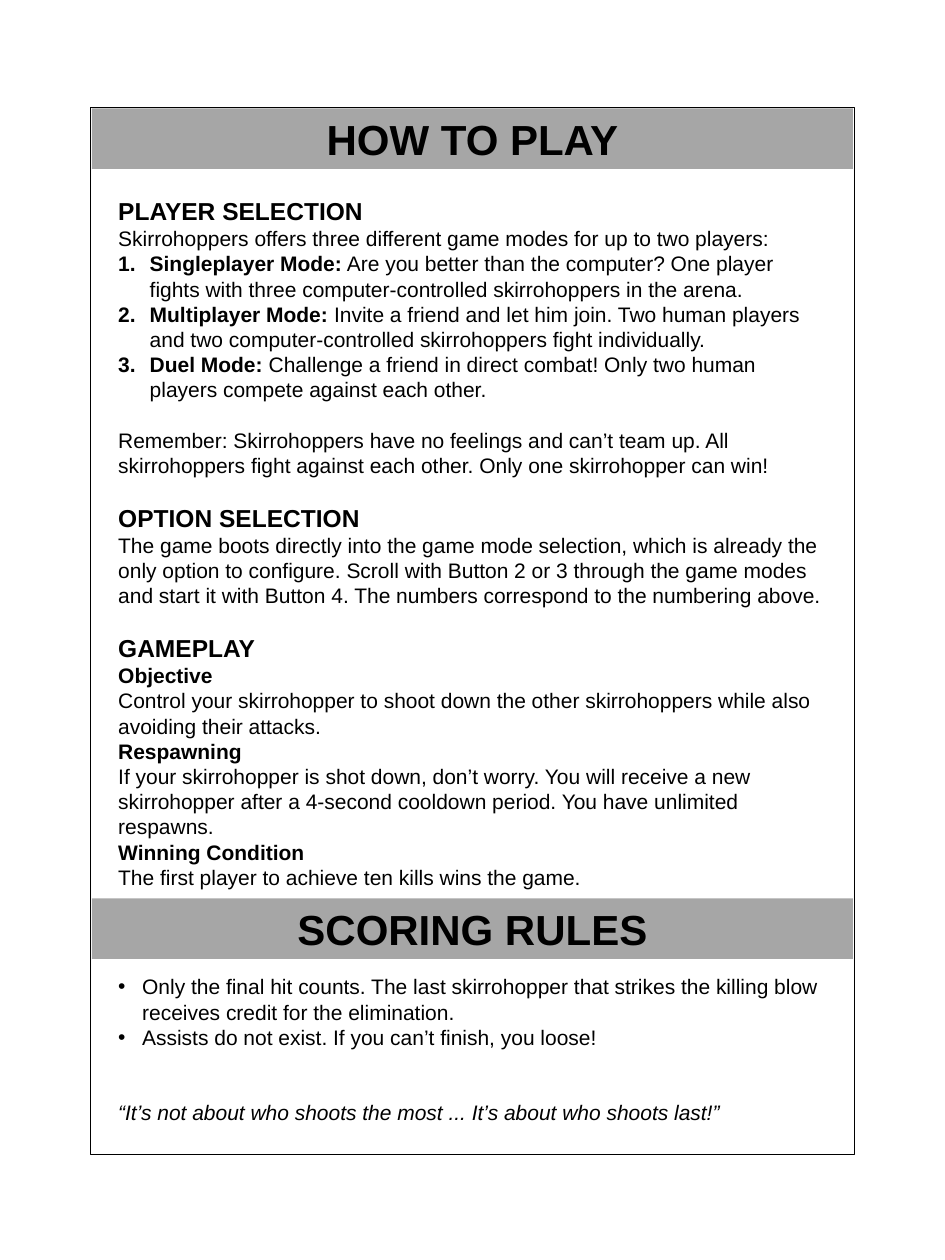
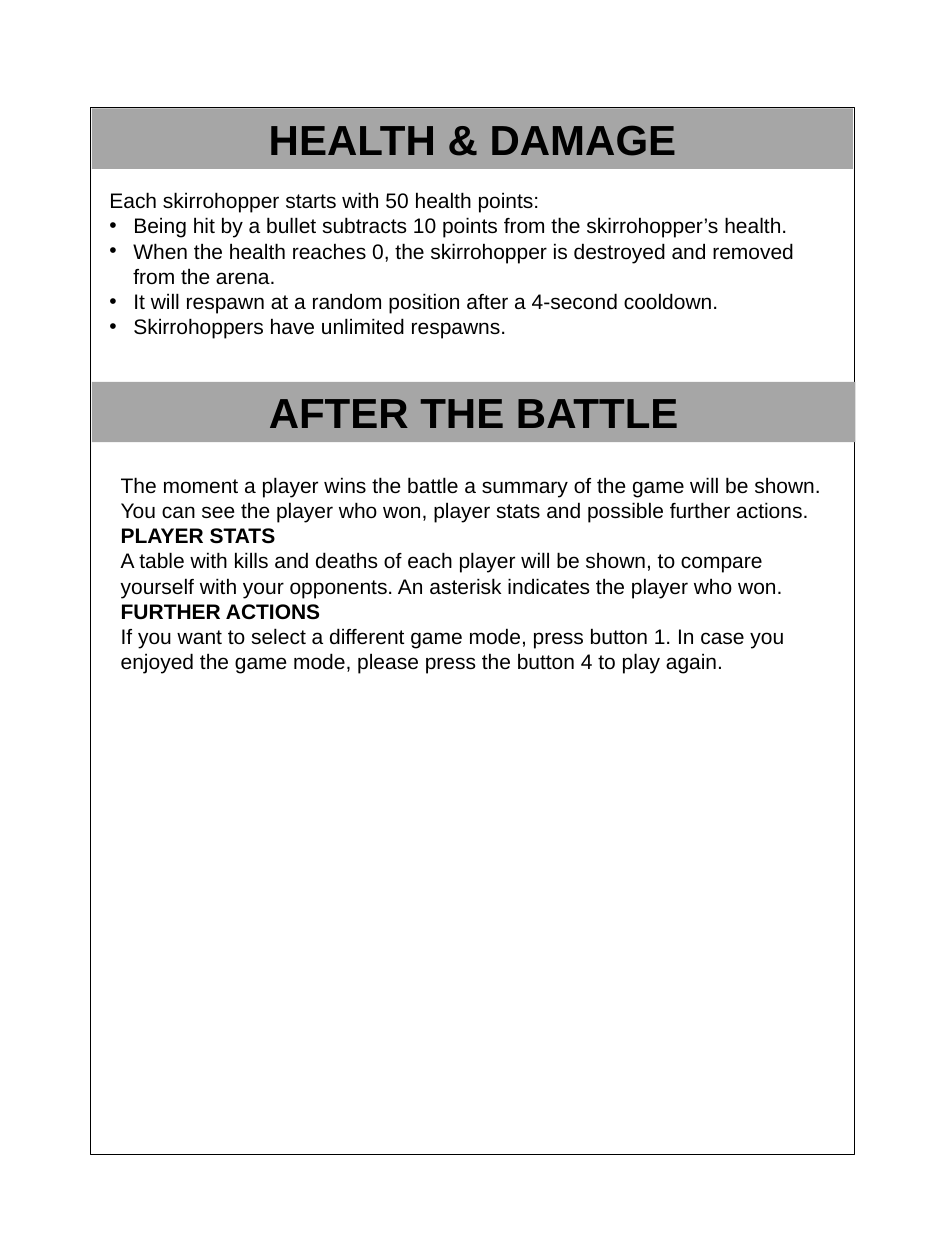
from pptx import Presentation
from pptx.dml.color import RGBColor as Rgb
from pptx.enum.shapes import MSO_SHAPE as Shape
from pptx.enum.text import MSO_ANCHOR as Anchor, MSO_AUTO_SIZE as Fit, PP_ALIGN as Align
from pptx.oxml.ns import qn
from pptx.util import Inches, Pt
from lxml.etree import SubElement

WIDE, HIGH = 7.5, 10
THEME = dict(font="Arial", ink=Rgb(0, 0, 0), band=Rgb(0xA6, 0xA6, 0xA6),
             title=24, head=14, body=12, line=0.5, gap=14.4)
FRAME = (0.72, 0.85, 6.06, 8.31)
BAND_X, BAND_H, BAND_W, TEXT_W = 0.73, 0.48, 6.04, 5.83

STYLES = {
    "head": dict(size="head", bold=True),
    "sub": dict(bold=True),
    "text": {},
    "quote": dict(italic=True),
    "num": dict(indent=0.25, mark=("a:buAutoNum", "type", "arabicPeriod")),
    "dot": dict(indent=0.19, mark=("a:buChar", "char", "•")),
}

PAGES = [
    dict(
        bands=[("HOW TO PLAY", 0.86, BAND_W), ("SCORING RULES", 7.13, BAND_W)],
        texts=[
            ((0.84, 1.51, 5.86), [
                ("head", 0, "PLAYER SELECTION"),
                ("text", 0, "Skirrohoppers offers three different game modes for up to two players:"),
                ("num", 0, "Singleplayer Mode:", " Are you better than the computer? One player fights with three computer-controlled skirrohoppers in the arena."),
                ("num", 0, "Multiplayer Mode:", " Invite a friend and let him join. Two human players and two computer-controlled skirrohoppers fight individually."),
                ("num", 0, "Duel Mode: ", "Challenge a friend in direct combat! Only two human players compete against each other."),
                ("text", 1, "Remember: Skirrohoppers have no feelings and can’t team up. All skirrohoppers fight against each other. Only one skirrohopper can win!"),
                ("head", 1, "OPTION SELECTION"),
                ("text", 0, "The game boots directly into the game mode selection, which is already the only option to configure. Scroll with Button 2 or 3 through the game modes and start it with Button 4. The numbers correspond to the numbering above."),
                ("head", 1, "GAMEPLAY"),
                ("sub", 0, "Objective"),
                ("text", 0, "Control your skirrohopper to shoot down the other skirrohoppers while also avoiding their attacks."),
                ("sub", 0, "Respawning"),
                ("text", 0, "If your skirrohopper is shot down, don’t worry. You will receive a new skirrohopper after a 4-second cooldown period. You have unlimited respawns."),
                ("sub", 0, "Winning Condition"),
                ("text", 0, "The first player to achieve ten kills wins the game."),
            ]),
            ((0.84, 7.68, 1.31), [
                ("dot", 0, "Only the final hit counts. The last skirrohopper that strikes the killing blow receives credit for the elimination."),
                ("dot", 0, "Assists do not exist. If you can’t finish, you loose!"),
                ("quote", 2, "“It’s not about who shoots the most ... It’s about who shoots last!”"),
            ]),
        ],
    ),
    dict(
        bands=[("HEALTH & DAMAGE", 0.86, BAND_W), ("AFTER THE BATTLE", 3.03, 6.06)],
        texts=[
            ((0.77, 1.44, 1.31), [
                ("text", 0, "Each skirrohopper starts with 50 health points:"),
                ("dot", 0, "Being hit by a bullet subtracts 10 points from the skirrohopper’s health."),
                ("dot", 0, "When the health reaches 0, the skirrohopper is destroyed and removed from the arena."),
                ("dot", 0, "It will respawn at a random position after a 4-second cooldown."),
                ("dot", 0, "Skirrohoppers have unlimited respawns."),
            ]),
            ((0.86, 3.7, 1.92), [
                ("text", 0, "The moment a player wins the battle a summary of the game will be shown. You can see the player who won, player stats and possible further actions."),
                ("sub", 0, "PLAYER STATS"),
                ("text", 0, "A table with kills and deaths of each player will be shown, to compare yourself with your opponents. An asterisk indicates the player who won."),
                ("sub", 0, "FURTHER ACTIONS"),
                ("text", 0, "If you want to select a different game mode, press button 1. In case you enjoyed the game mode, please press the button 4 to play again."),
            ]),
        ],
    ),
]


def paint(run, size="body", bold=False, italic=False):
    font = run.font
    font.name, font.size = THEME["font"], Pt(THEME[size])
    font.bold, font.italic = bold, italic
    font.color.rgb = THEME["ink"]


def add_box(slide, *area):
    box = slide.shapes.add_shape(Shape.RECTANGLE, *map(Inches, area))
    box.shadow.inherit = False
    return box


def add_frame(slide):
    box = add_box(slide, *FRAME)
    box.fill.background()
    box.line.color.rgb = THEME["ink"]
    box.line.width = Pt(THEME["line"])


def add_band(slide, title, top, width):
    box = add_box(slide, BAND_X, top, width, BAND_H)
    box.fill.solid()
    box.fill.fore_color.rgb = THEME["band"]
    box.line.fill.background()
    frame = box.text_frame
    frame.text = title
    frame.vertical_anchor = Anchor.MIDDLE
    para = frame.paragraphs[0]
    para.alignment = Align.CENTER
    paint(para.runs[0], "title", True)


def set_mark(para, indent, mark):
    props = para._p.get_or_add_pPr()
    props.set("marL", str(Inches(indent)))
    props.set("indent", str(-Inches(indent)))
    tag, key, value = mark
    if key == "char":
        SubElement(props, qn("a:buFont")).set("typeface", THEME["font"])
    SubElement(props, qn(tag)).set(key, value)


def add_text(slide, area, rows):
    left, top, height = area
    box = slide.shapes.add_textbox(*map(Inches, (left, top, TEXT_W, height)))
    frame = box.text_frame
    frame.word_wrap = True
    frame.auto_size = Fit.SHAPE_TO_FIT_TEXT
    for n, (kind, gap, *parts) in enumerate(rows):
        para = frame.add_paragraph() if n else frame.paragraphs[0]
        look = dict(STYLES[kind])
        indent, mark = look.pop("indent", 0), look.pop("mark", None)
        if gap:
            para.space_before = Pt(gap * THEME["gap"])
        if mark:
            set_mark(para, indent, mark)
        para.text = parts[0]
        paint(para.runs[0], **(look if len(parts) == 1 else dict(bold=True)))
        for part in parts[1:]:
            run = para.add_run()
            run.text = part
            paint(run, **look)


def main():
    deck = Presentation()
    deck.slide_width, deck.slide_height = Inches(WIDE), Inches(HIGH)
    for page in PAGES:
        slide = deck.slides.add_slide(deck.slide_layouts[6])
        add_frame(slide)
        for band in page["bands"]:
            add_band(slide, *band)
        for area, rows in page["texts"]:
            add_text(slide, area, rows)
    deck.save("out.pptx")


if __name__ == "__main__":
    main()
